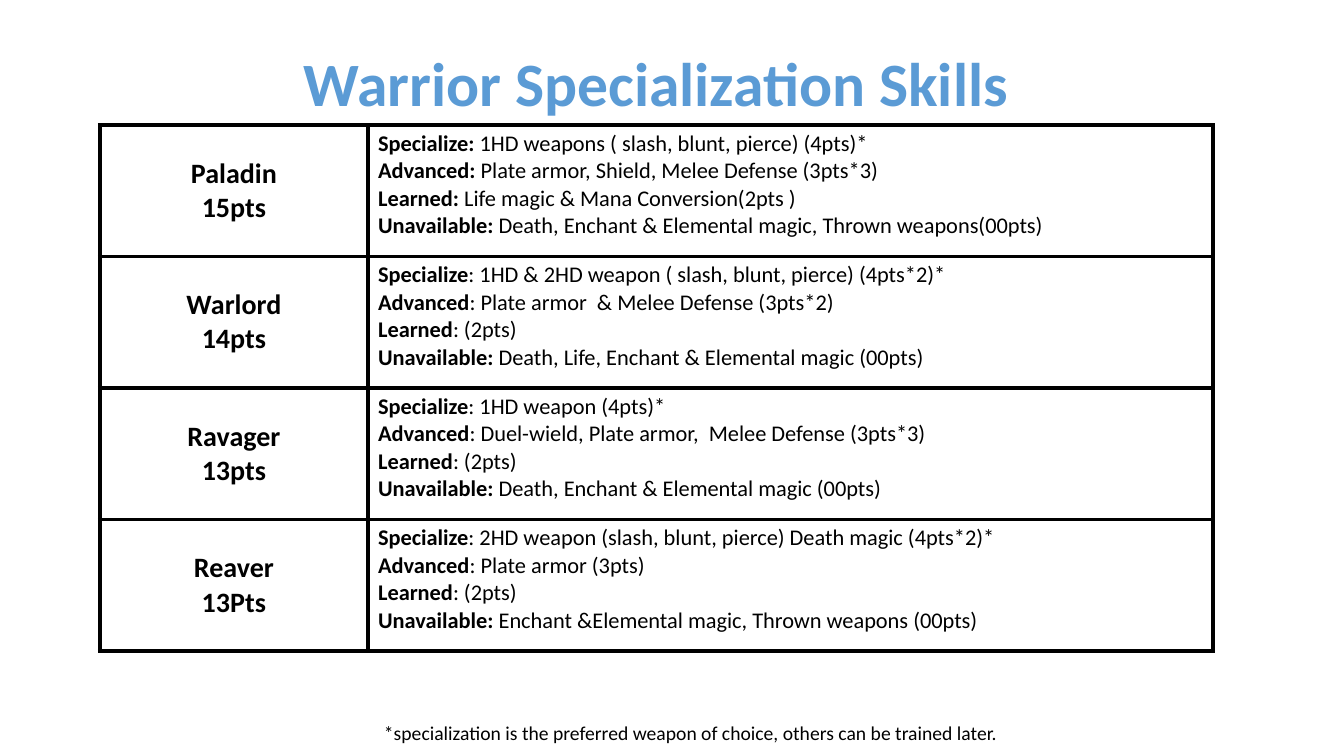
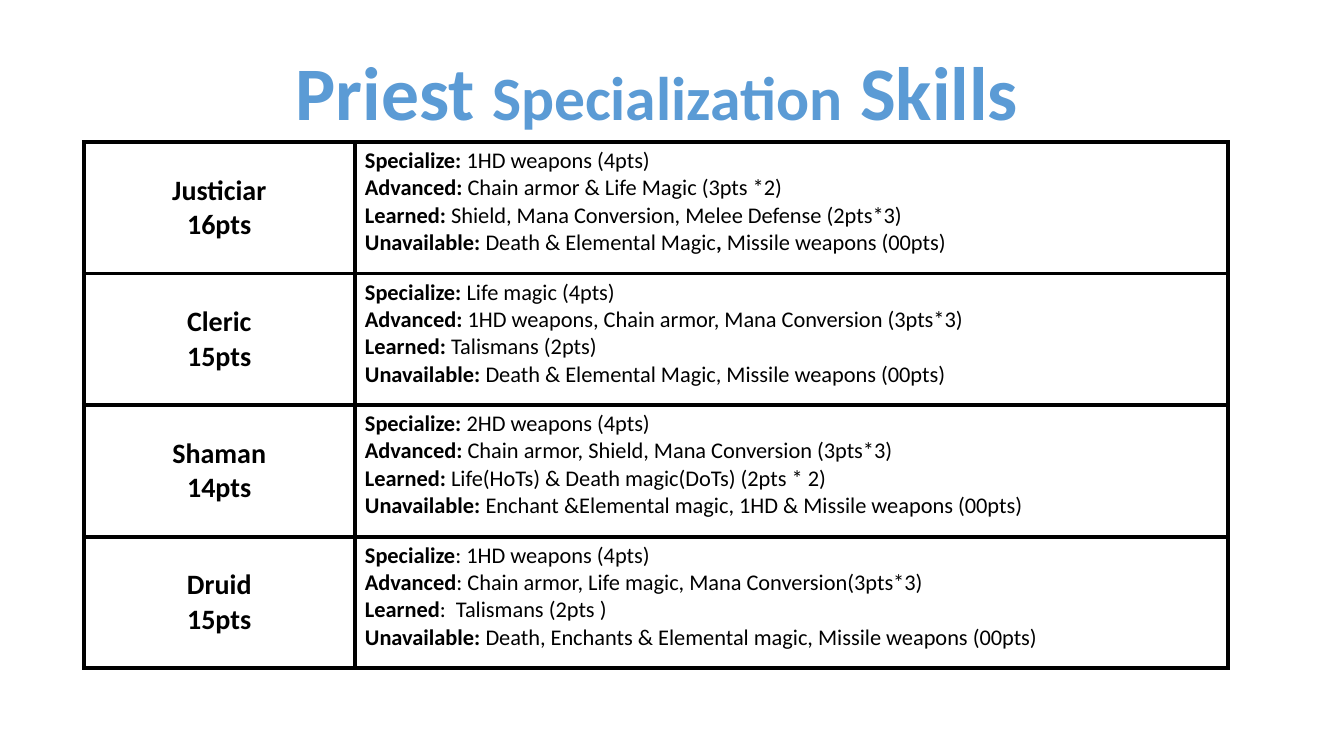
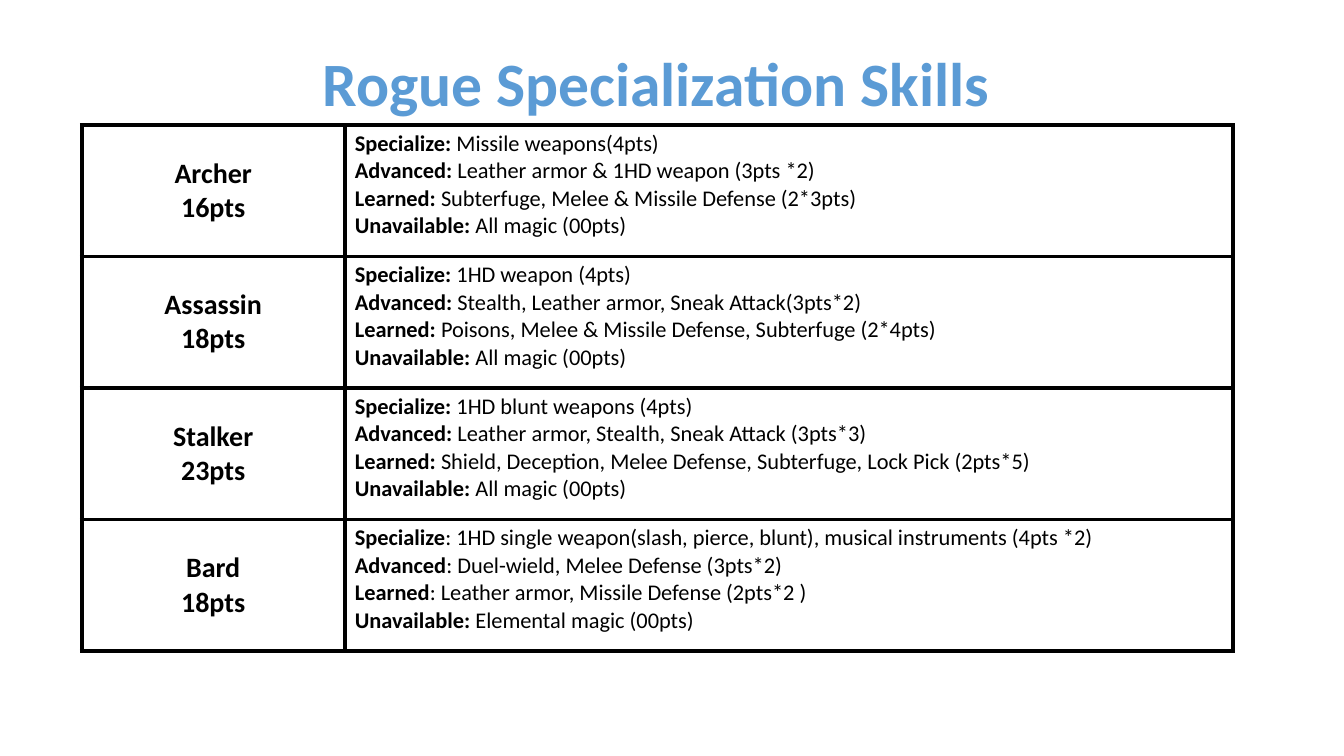
from dataclasses import dataclass

from lxml.etree import SubElement
from pptx import Presentation
from pptx.dml.color import RGBColor
from pptx.enum.text import MSO_ANCHOR as Anchor, MSO_AUTO_SIZE as AutoSize, PP_ALIGN as Align
from pptx.oxml.ns import qn
from pptx.util import Inches, Pt


@dataclass(frozen=True)
class Theme:
    font: str = "Calibri"
    title_color: RGBColor = RGBColor(0x5B, 0x9B, 0xD5)
    ink: RGBColor = RGBColor(0, 0, 0)
    big_title: Pt = Pt(54)
    title: Pt = Pt(44)
    name: Pt = Pt(20)
    skill: Pt = Pt(16)
    note: Pt = Pt(14)
    border: Pt = Pt(3)


theme = Theme()
TITLE_TOP = 0.4
TABLE_HEIGHT = 5.22

# Each skill line alternates bold and regular text at every "|".
slides = [
    {
        "title": [("Warrior Specialization Skills", theme.title)],
        "title_box": (2.88, 7.26, 0.84),
        "table_left": 0.99,
        "columns": (2.66, 8.38),
        "classes": [
            ("Paladin", "15pts", [
                "Specialize: |1HD weapons ( slash, blunt, pierce) (4pts)*",
                "Advanced: |Plate armor, Shield, Melee Defense (3pts*3)",
                "Learned: |Life magic & Mana Conversion(2pts )",
                "Unavailable: |Death, Enchant & Elemental magic, Thrown weapons(00pts)"]),
            ("Warlord", "14pts", [
                "Specialize|: 1HD & 2HD weapon ( slash, blunt, pierce) (4pts*2)*",
                "Advanced|: Plate armor  & Melee Defense (3pts*2)",
                "Learned|: (2pts)",
                "Unavailable: |Death, Life, Enchant & Elemental magic (00pts)"]),
            ("Ravager", "13pts", [
                "Specialize|: 1HD weapon (4pts)*",
                "Advanced|: Duel-wield, Plate armor,  Melee Defense (3pts*3)",
                "Learned|: (2pts)",
                "Unavailable: |Death, Enchant & Elemental magic (00pts)"]),
            ("Reaver", "13Pts", [
                "Specialize|: 2HD weapon (slash, blunt, pierce) Death magic (4pts*2)*",
                "Advanced|: Plate armor (3pts)",
                "Learned|: (2pts)",
                "Unavailable: |Enchant &Elemental magic, Thrown weapons (00pts)"]),
        ],
        "note": "*specialization is the preferred weapon of choice, others can be trained later.",
    },
    {
        "title": [("Priest ", theme.big_title), ("Specialization", theme.title),
                  (" Skills", theme.big_title)],
        "title_box": (2.8, 7.43, 1.01),
        "table_left": 0.83,
        "columns": (2.69, 8.66),
        "classes": [
            ("Justiciar", "16pts", [
                "Specialize: |1HD weapons (4pts)",
                "Advanced: |Chain armor & Life Magic (3pts *2)",
                "Learned: |Shield, Mana Conversion, Melee Defense (2pts*3)",
                "Unavailable: |Death & Elemental Magic|, |Missile weapons (00pts)"]),
            ("Cleric", "15pts", [
                "Specialize:| Life magic (4pts)",
                "Advanced: |1HD weapons, Chain armor, Mana Conversion (3pts*3)",
                "Learned: |Talismans (2pts)",
                "Unavailable: |Death & Elemental Magic, Missile weapons (00pts)"]),
            ("Shaman", "14pts", [
                "Specialize: |2HD weapons (4pts)",
                "Advanced: |Chain armor, Shield, Mana Conversion (3pts*3)",
                "Learned: |Life(HoTs) & Death magic(DoTs) (2pts * 2)",
                "Unavailable: |Enchant &Elemental magic, 1HD & Missile weapons (00pts)"]),
            ("Druid", "15pts", [
                "Specialize|: 1HD weapons (4pts)",
                "Advanced|: Chain armor, Life magic, Mana Conversion(3pts*3)",
                "Learned|:  Talismans (2pts )",
                "Unavailable: |Death, Enchants & Elemental magic, Missile weapons (00pts)"]),
        ],
    },
    {
        "title": [("Rogue Specialization Skills", theme.title)],
        "title_box": (3.07, 6.88, 0.84),
        "table_left": 0.81,
        "columns": (2.61, 8.81),
        "classes": [
            ("Archer", "16pts", [
                "Specialize: |Missile weapons(4pts)",
                "Advanced: |Leather armor & 1HD weapon (3pts *2)",
                "Learned: |Subterfuge, Melee & Missile Defense (2*3pts)",
                "Unavailable: |All magic (00pts)"]),
            ("Assassin", "18pts", [
                "Specialize: |1HD weapon (4pts)",
                "Advanced: |Stealth, Leather armor, Sneak Attack(3pts*2)",
                "Learned: |Poisons, Melee & Missile Defense, Subterfuge (2*4pts)",
                "Unavailable: |All magic (00pts)"]),
            ("Stalker", "23pts", [
                "Specialize: |1HD blunt weapons (4pts)",
                "Advanced: |Leather armor, Stealth, Sneak Attack (3pts*3)",
                "Learned:| Shield, Deception, Melee Defense, Subterfuge, Lock Pick (2pts*5)",
                "Unavailable: |All magic (00pts)"]),
            ("Bard", "18pts", [
                "Specialize|: 1HD single weapon(slash, pierce, blunt), musical instruments (4pts *2)",
                "Advanced|: Duel-wield, Melee Defense (3pts*2)",
                "Learned|: Leather armor, Missile Defense (2pts*2 )",
                "Unavailable: |Elemental magic (00pts)"]),
        ],
    },
]


def write_lines(frame, lines, size, color=theme.ink, align=Align.LEFT):
    """Write one paragraph a line; each line is a list of (text, bold, size or None)."""
    for index, spans in enumerate(lines):
        para = frame.paragraphs[0] if index == 0 else frame.add_paragraph()
        para.alignment = align
        para.font.name, para.font.size, para.font.color.rgb = theme.font, size, color
        for text, bold, span_size in spans:
            span = para.add_run()
            span.text = text
            span.font.bold = bold
            span.font.size = span_size


def style_cell(cell):
    """Draw a solid border on every side, with no fill."""
    properties = cell._tc.get_or_add_tcPr()
    for side in ("a:lnL", "a:lnR", "a:lnT", "a:lnB"):
        line = SubElement(properties, qn(side), w=str(theme.border))
        fill = SubElement(line, qn("a:solidFill"))
        SubElement(fill, qn("a:srgbClr"), val=str(theme.ink))
    cell.fill.background()


deck = Presentation()
deck.slide_width, deck.slide_height = Inches(13.33), Inches(7.5)

for content in slides:
    page = deck.slides.add_slide(deck.slide_layouts[6])

    # Title
    left, width, height = content["title_box"]
    box = page.shapes.add_textbox(Inches(left), Inches(TITLE_TOP), Inches(width), Inches(height))
    box.text_frame.word_wrap = False
    box.text_frame.auto_size = AutoSize.SHAPE_TO_FIT_TEXT
    title = [(text, True, size) for text, size in content["title"]]
    write_lines(box.text_frame, [title], theme.title, theme.title_color, Align.CENTER)

    # Class table, directly below the title
    classes, columns = content["classes"], content["columns"]
    table = page.shapes.add_table(
        len(classes), len(columns), Inches(content["table_left"]), Inches(TITLE_TOP + height),
        Inches(sum(columns)), Inches(TABLE_HEIGHT)).table
    table.first_row = table.horz_banding = False
    for column, column_width in zip(table.columns, columns):
        column.width = Inches(column_width)
    for row, (name, points, skills) in zip(table.rows, classes):
        name_cell, skill_cell = row.cells
        name_cell.vertical_anchor = Anchor.MIDDLE
        write_lines(name_cell.text_frame, [[(text, True, None)] for text in (name, points)],
                    theme.name, align=Align.CENTER)
        skill_lines = [[(text, index % 2 == 0, None) for index, text in enumerate(skill.split("|"))]
                       for skill in skills]
        write_lines(skill_cell.text_frame, skill_lines, theme.skill)
        for cell in row.cells:
            style_cell(cell)

    # Footnote
    if "note" in content:
        box = page.shapes.add_textbox(Inches(3.71), Inches(7.1), Inches(8.35), Inches(0.34))
        box.text_frame.word_wrap = True
        box.text_frame.auto_size = AutoSize.SHAPE_TO_FIT_TEXT
        write_lines(box.text_frame, [[(content["note"], False, None)]], theme.note)

deck.save("out.pptx")
